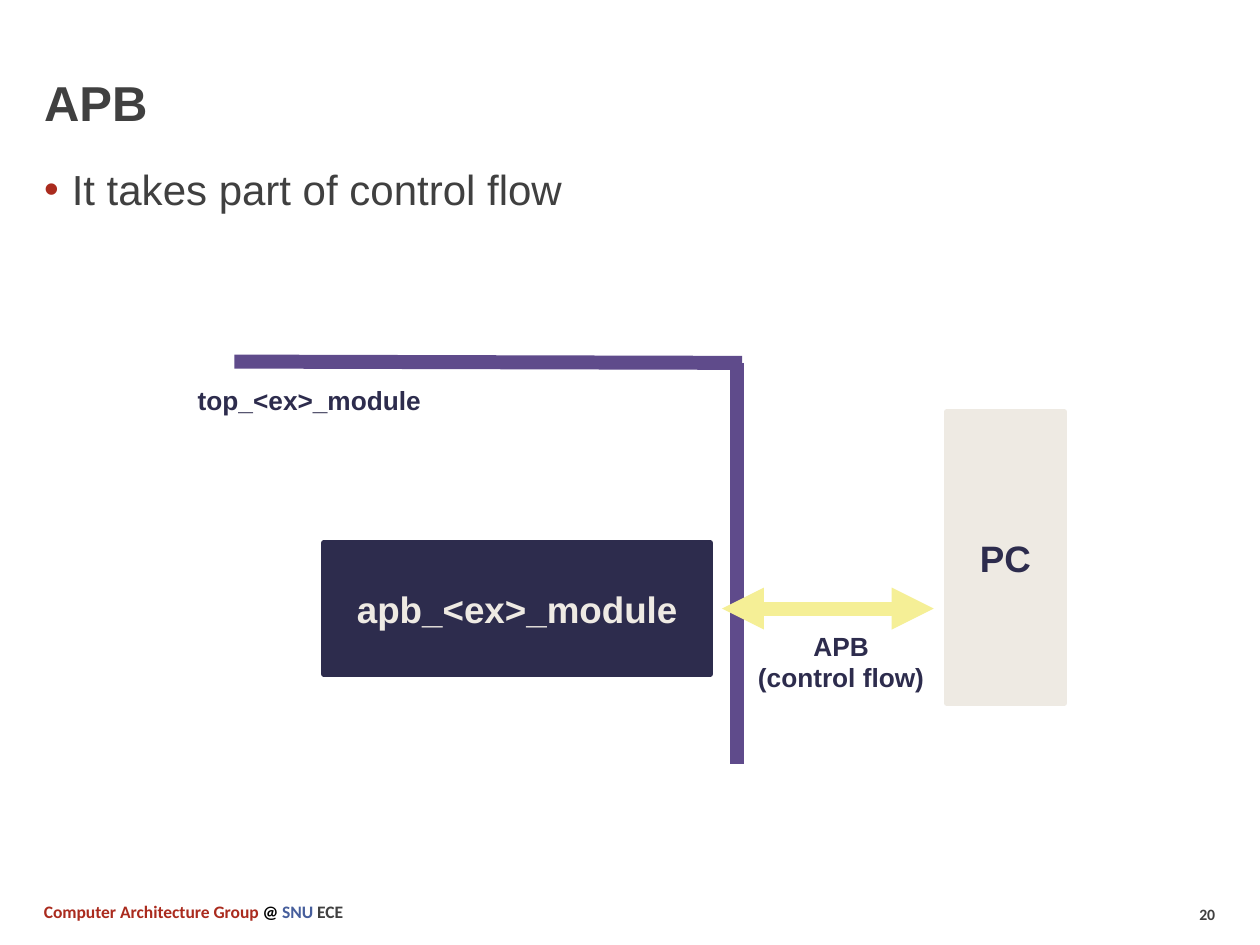
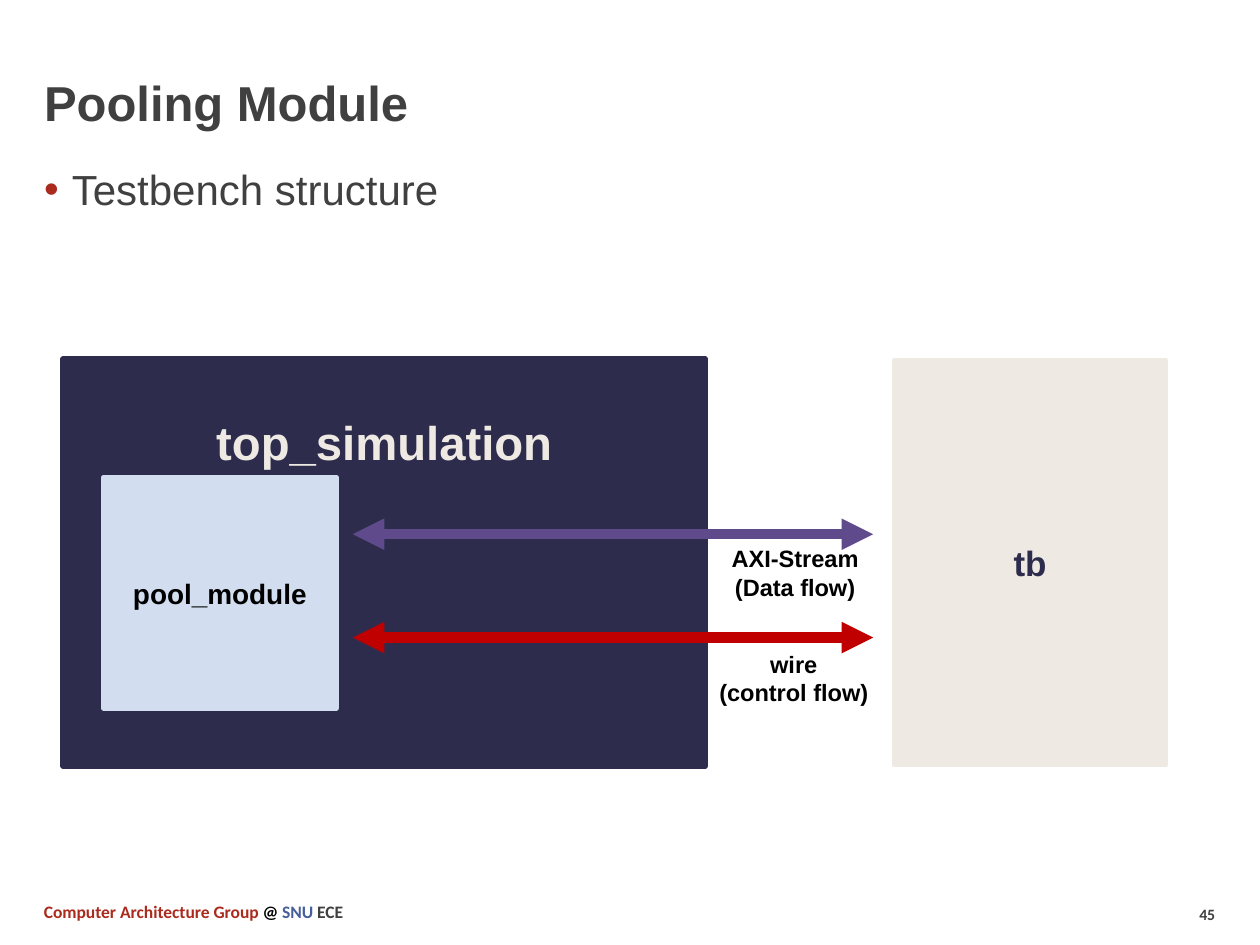
from dataclasses import dataclass

from pptx import Presentation
from pptx.dml.color import RGBColor
from pptx.enum.shapes import MSO_CONNECTOR, MSO_SHAPE
from pptx.enum.text import MSO_ANCHOR, MSO_AUTO_SIZE, PP_ALIGN
from pptx.oxml.ns import qn
from pptx.util import Inches, Pt
from lxml.etree import SubElement


@dataclass(frozen=True)
class Theme:
    """Colours, fonts and type sizes of the deck."""
    ink: str = "404040"
    black: str = "000000"
    brick: str = "AA2B1E"
    blue: str = "465E9C"
    navy: str = "2D2C4D"
    cream: str = "EEEAE3"
    sky: str = "D2DEEF"
    purple: str = "5F4B8B"
    yellow: str = "F5EF96"
    red: str = "C00000"
    main_font: str = "Arial"
    footer_font: str = "Calibri"
    title_size: float = 28
    body_size: float = 24
    top_size: float = 27
    block_size: float = 21
    bench_size: float = 20
    inner_size: float = 16
    label_size: float = 15
    flow_size: float = 13.5
    footer_size: float = 10
    number_size: float = 9
    border: float = 3


THEME = Theme()


def rgb(color):
    """Turn a hex string into a colour."""
    return RGBColor.from_string(color)


def add_run(paragraph, text, size, color, bold=True, font=THEME.main_font):
    """Add one formatted run to a paragraph."""
    run = paragraph.add_run()
    run.text = text
    run.font.name = font
    run.font.size = Pt(size)
    run.font.bold = bold
    run.font.color.rgb = rgb(color)


def place(shape, left, top, width, height):
    """Move and size a placeholder, in inches."""
    shape.left, shape.top = Inches(left), Inches(top)
    shape.width, shape.height = Inches(width), Inches(height)


def add_text_box(slide, left, top, width, height):
    """Add a wrapping text box and return its first paragraph."""
    box = slide.shapes.add_textbox(
        Inches(left), Inches(top), Inches(width), Inches(height))
    box.text_frame.word_wrap = True
    return box.text_frame.paragraphs[0]


def add_title(slide, text):
    """Fill the title placeholder."""
    title = slide.shapes.title
    place(title, 0.25, 0.17, 9.25, 0.92)
    frame = title.text_frame
    frame.auto_size = MSO_AUTO_SIZE.NONE
    frame.vertical_anchor = MSO_ANCHOR.BOTTOM
    paragraph = frame.paragraphs[0]
    paragraph.alignment = PP_ALIGN.LEFT
    add_run(paragraph, text, THEME.title_size, THEME.ink)


def add_bullet(slide, text, height):
    """Fill the body placeholder with one bulleted line."""
    body = slide.placeholders[1]
    place(body, 0.25, 1.25, 9.5, height)
    body.text_frame.auto_size = MSO_AUTO_SIZE.NONE
    paragraph = body.text_frame.paragraphs[0]
    paragraph.space_before = Pt(4.5)
    add_run(paragraph, text, THEME.body_size, THEME.ink, bold=False)
    properties = paragraph._p.get_or_add_pPr()
    properties.set("marL", str(Inches(0.22)))
    properties.set("indent", str(Inches(-0.22)))
    bullet_color = SubElement(properties, qn("a:buClr"))
    SubElement(bullet_color, qn("a:srgbClr"), val=THEME.brick)
    SubElement(properties, qn("a:buFont"), typeface=THEME.main_font)
    SubElement(properties, qn("a:buChar"), char="•")


def add_footer(slide, number):
    """Add the group name and the slide number."""
    page = add_text_box(slide, 9.42, 7.13, 0.67, 0.25)
    add_run(page, number, THEME.number_size, THEME.ink, font=THEME.footer_font)
    credit = add_text_box(slide, 0.25, 7.1, 5.04, 0.27)
    for text, color in (("Computer Architecture Group ", THEME.brick),
                        ("@ ", THEME.black),
                        ("SNU ", THEME.blue),
                        ("ECE", THEME.ink)):
        add_run(credit, text, THEME.footer_size, color, font=THEME.footer_font)


def add_block(slide, text, left, top, width, height, fill, color, size,
              text_top=None):
    """Add a module block, its text centred or text_top inches down."""
    block = slide.shapes.add_shape(
        MSO_SHAPE.RECTANGLE,
        Inches(left), Inches(top), Inches(width), Inches(height))
    block.shadow.inherit = False
    block.fill.solid()
    block.fill.fore_color.rgb = rgb(fill)
    block.line.color.rgb = rgb(fill)
    block.line.width = Pt(THEME.border)
    frame = block.text_frame
    frame.vertical_anchor = MSO_ANCHOR.MIDDLE
    if text_top is not None:
        frame.vertical_anchor = MSO_ANCHOR.TOP
        frame.margin_top = Inches(text_top)
    paragraph = frame.paragraphs[0]
    paragraph.alignment = PP_ALIGN.CENTER
    add_run(paragraph, text, size, color)


def add_label(slide, lines, left, top, width, height, color, size):
    """Add a centred label of one or more lines."""
    paragraph = add_text_box(slide, left, top, width, height)
    paragraph.alignment = PP_ALIGN.CENTER
    for index, line in enumerate(lines):
        if index:
            paragraph.add_line_break()
        add_run(paragraph, line, size, color)


def add_line(slide, start, end, color, width, arrows=False):
    """Add a straight line, with arrowheads at both ends if asked."""
    line = slide.shapes.add_connector(
        MSO_CONNECTOR.STRAIGHT, *map(Inches, (*start, *end)))
    line.line.color.rgb = rgb(color)
    line.line.width = Pt(width)
    if arrows:
        outline = line.line._get_or_add_ln()
        for tag in ("a:headEnd", "a:tailEnd"):
            SubElement(outline, qn(tag), type="triangle")
    SubElement(line._element.spPr, qn("a:effectLst"))


def add_content_slide(deck, title, bullet, number, body_height):
    """Add a slide with title, bullet and footer."""
    slide = deck.slides.add_slide(deck.slide_layouts[1])
    add_title(slide, title)
    add_bullet(slide, bullet, body_height)
    add_footer(slide, number)
    return slide


def build_apb(deck):
    """Show the APB control flow between module and PC."""
    slide = add_content_slide(
        deck, "APB", "It takes part of control flow", "20", 5.67)
    add_block(slide, "apb_<ex>_module", 2.57, 4.31, 3.07, 1.04,
              THEME.navy, THEME.cream, THEME.block_size)
    add_block(slide, "PC", 7.51, 3.27, 0.94, 2.31,
              THEME.cream, THEME.navy, THEME.block_size)
    add_line(slide, (1.86, 2.87), (5.89, 2.88), THEME.purple, 8)
    add_line(slide, (5.85, 2.88), (5.85, 6.06), THEME.purple, 8)
    add_label(slide, ("APB", "(control flow)"), 5.52, 4.95, 2.31, 0.61,
              THEME.navy, THEME.label_size)
    add_line(slide, (5.73, 4.83), (7.41, 4.83), THEME.yellow, 8, arrows=True)
    add_label(slide, ("top_<ex>_module",), 1.3, 3, 2.31, 0.35,
              THEME.navy, THEME.label_size)


def build_pooling(deck):
    """Show the pooling module inside its testbench."""
    slide = add_content_slide(
        deck, "Pooling Module", "Testbench structure", "45", 0.81)
    add_block(slide, "top_simulation", 0.5, 2.85, 5.1, 3.23,
              THEME.navy, THEME.cream, THEME.top_size, text_top=0.43)
    add_block(slide, "pool_module", 0.82, 3.79, 1.85, 1.83,
              THEME.sky, THEME.black, THEME.inner_size)
    for y, color in ((4.24, THEME.purple), (5.06, THEME.red)):
        add_line(slide, (2.8, y), (6.93, y), color, 6, arrows=True)
    add_label(slide, ("AXI-Stream", "(Data flow)"), 5.62, 4.27, 1.38, 0.56,
              THEME.black, THEME.flow_size)
    add_label(slide, ("wire", "(control flow)"), 5.55, 5.11, 1.5, 0.56,
              THEME.black, THEME.flow_size)
    add_block(slide, "tb", 7.1, 2.86, 2.15, 3.21,
              THEME.cream, THEME.navy, THEME.bench_size)


def main():
    """Build and save the deck."""
    deck = Presentation()
    deck.slide_width, deck.slide_height = Inches(10), Inches(7.5)
    build_apb(deck)
    build_pooling(deck)
    deck.save("out.pptx")


if __name__ == "__main__":
    main()
